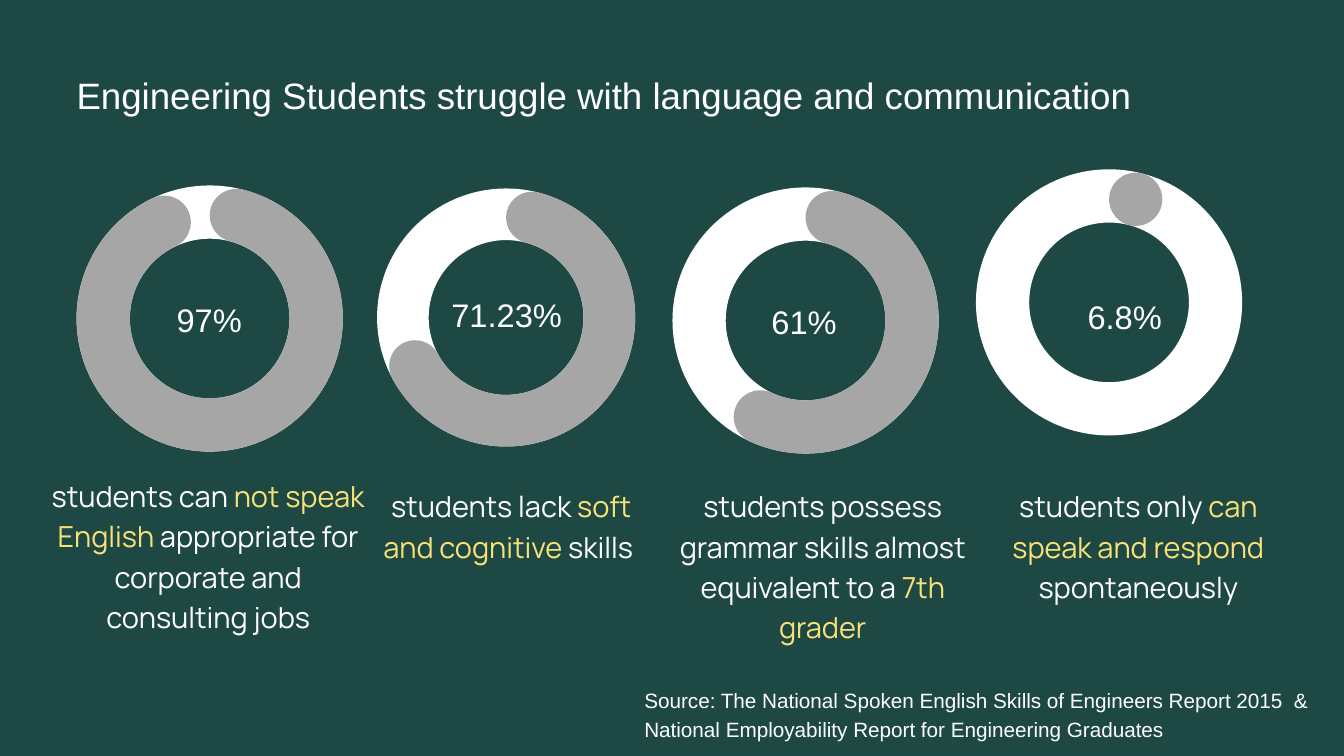
"""Build a slide of four progress rings about engineering students' language skills."""
import math

from lxml import etree
from pptx import Presentation
from pptx import util as u
from pptx.dml.color import RGBColor
from pptx.enum import shapes, text
from pptx.oxml.ns import qn

WHITE, GREY, YELLOW, GREEN = "FFFFFF", "A6A6A6", "F8E278", "1E4844"
THICKNESS = 0.2

RINGS = [
    dict(center=(2.08, 3.16), radius=1.32, percent=97, label=(0.22, 2.91),
         caption=(0.48, 4.69, 3.17, 1.61),
         runs=[("students can ", WHITE), ("not speak English", YELLOW),
               (" appropriate for corporate and consulting jobs", WHITE)]),
    dict(center=(5.02, 3.15), radius=1.28, percent=71.23, label=(3.17, 2.86),
         caption=(3.75, 4.79, 2.64, 1.21),
         runs=[("students lack ", WHITE), ("soft and cognitive", YELLOW),
               (" skills ", WHITE)]),
    dict(center=(7.99, 3.18), radius=1.32, percent=61, label=(6.12, 2.93),
         caption=(6.67, 4.79, 2.98, 1.61),
         runs=[("students possess grammar skills almost equivalent to a ", WHITE),
               ("7th grader", YELLOW)]),
    dict(center=(11, 3), radius=1.32, percent=6.8, label=(9.3, 2.88),
         caption=(9.83, 4.79, 2.92, 1.21),
         runs=[("students only ", WHITE), ("can speak and respond", YELLOW),
               (" spontaneously", WHITE)]),
]


def rgb(value):
    """Turn a hex string into a colour."""
    return RGBColor.from_string(value)


def paint(sp, color):
    """Give a shape a flat fill without line or shadow."""
    sp.shadow.inherit = False
    sp.fill.solid()
    sp.fill.fore_color.rgb = rgb(color)
    sp.line.fill.background()


def add_text(slide, box, paragraphs, size, spacing, font="Arial", align="LEFT"):
    """Add a text box whose paragraphs are lists of (text, colour) runs."""
    sp = slide.shapes.add_textbox(*map(u.Inches, box))
    tf = sp.text_frame
    tf.word_wrap = True
    tf.margin_left = tf.margin_right = tf.margin_top = tf.margin_bottom = 0
    for i, runs in enumerate(paragraphs):
        p = tf.add_paragraph() if i else tf.paragraphs[0]
        p.alignment = text.PP_ALIGN[align]
        p.line_spacing = u.Pt(spacing)
        for words, color in runs:
            r = p.add_run()
            r.text = words
            r.font.size = u.Pt(size)
            r.font.name = font
            r.font.color.rgb = rgb(color)


def polar(center, radius, angle):
    """Find the point at an angle in degrees clockwise from the top."""
    a = math.radians(angle)
    return center[0] + radius * math.sin(a), center[1] - radius * math.cos(a)


def add_track(slide, center, radius):
    """Add the full white ring."""
    x, y = center
    sp = slide.shapes.add_shape(
        shapes.MSO_SHAPE.DONUT, u.Inches(x - radius), u.Inches(y - radius),
        u.Inches(2 * radius), u.Inches(2 * radius))
    sp.adjustments[0] = THICKNESS
    paint(sp, WHITE)


def add_arc_outline(slide, first, arcs):
    """Add a freeform that starts at a point and follows (centre, radius, start, sweep) arcs."""
    xs, ys = zip(*(polar(c, r, start + sweep * i / 60)
                   for c, r, start, sweep in arcs for i in range(61)))
    left, top, right, bottom = map(u.Inches, (min(xs), min(ys), max(xs), max(ys)))
    builder = slide.shapes.build_freeform(left, top)
    builder.add_line_segments([(right, top), (right, bottom), (left, bottom)])
    sp = builder.convert_to_shape()
    outline = next(sp._element.iter(qn("a:path")))
    for child in list(outline):
        outline.remove(child)
    move = etree.SubElement(outline, qn("a:moveTo"))
    etree.SubElement(move, qn("a:pt"), x=str(u.Inches(first[0]) - left),
                     y=str(u.Inches(first[1]) - top))
    for _, r, start, sweep in arcs:
        size = str(u.Inches(r))
        etree.SubElement(outline, qn("a:arcTo"), wR=size, hR=size,
                         stAng=str(round((start - 90) % 360 * 60000)),
                         swAng=str(round(sweep * 60000)))
    etree.SubElement(outline, qn("a:close"))
    return sp


def add_progress(slide, center, radius, percent):
    """Add the grey band with round ends that stay inside its share of the ring."""
    cap, middle = radius * THICKNESS, radius * (1 - THICKNESS)
    start = math.degrees(math.asin(cap / middle))
    end = max(start, percent * 3.6 - start)
    arcs = [(center, middle + cap, start, end - start),
            (polar(center, middle, end), cap, end, 180),
            (center, middle - cap, end, start - end),
            (polar(center, middle, start), cap, start + 180, 180)]
    sp = add_arc_outline(slide, polar(center, middle + cap, start),
                         [arc for arc in arcs if arc[3]])
    paint(sp, GREY)


def add_ring(slide, center, radius, percent, label, caption, runs):
    """Add one ring with its percentage and caption."""
    add_track(slide, center, radius)
    add_progress(slide, center, radius, percent)
    add_text(slide, (*label, 3.71, 0.43), [[(f"{percent}%", WHITE)]],
             size=23.3, spacing=32.7, align="CENTER")
    add_text(slide, caption, [runs], size=20.7, spacing=28.9,
             font="Manrope", align="CENTER")


def main():
    """Build and save the slide."""
    prs = Presentation()
    prs.slide_width, prs.slide_height = u.Inches(13.33), u.Inches(7.5)
    slide = prs.slides.add_slide(prs.slide_layouts[6])
    slide.background.fill.solid()
    slide.background.fill.fore_color.rgb = rgb(GREEN)
    add_text(slide, (0.76, 0.74, 12.5, 0.42),
             [[("Engineering Students struggle with language and communication", WHITE)]],
             size=26.2, spacing=29.9)
    for ring in RINGS:
        add_ring(slide, **ring)
    add_text(slide, (6.39, 6.78, 6.69, 0.57),
             [[("Source: The National Spoken English Skills of Engineers Report 2015  &", WHITE)],
              [("National Employability Report for Engineering Graduates", WHITE)]],
             size=14.8, spacing=20.8)
    prs.save("out.pptx")


if __name__ == "__main__":
    main()
